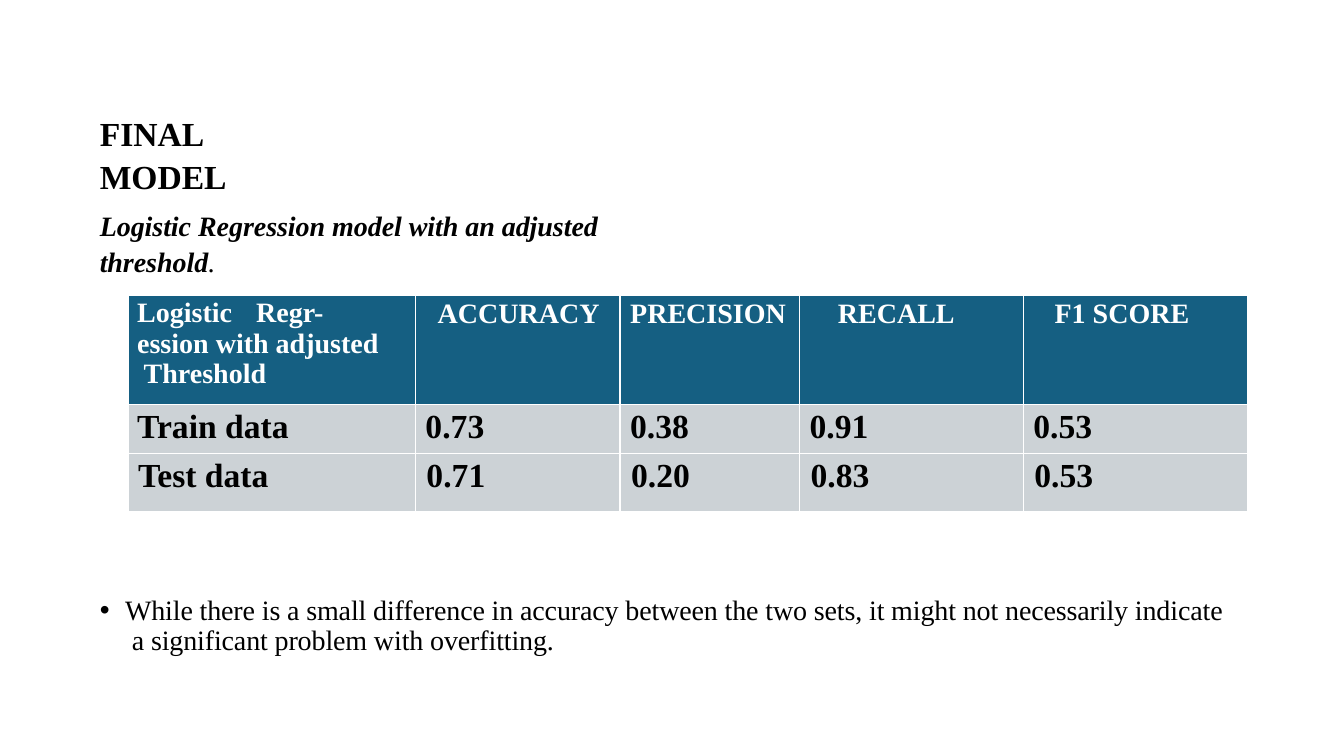
from dataclasses import dataclass

from lxml.etree import SubElement
from pptx import Presentation
from pptx.dml.color import RGBColor
from pptx.enum.text import MSO_ANCHOR
from pptx.oxml.ns import qn
from pptx.util import Inches, Pt


@dataclass(frozen=True)
class Theme:
    font: str = "Times New Roman"
    ink: str = "000000"
    paper: str = "FFFFFF"
    header_fill: str = "155F82"
    body_fill: str = "CCD2D6"
    large: int = 24
    normal: int = 20


THEME = Theme()

COLUMN_WIDTHS = [2.85, 2.03, 1.78, 2.22, 2.22]
ROW_HEIGHTS = [1.08, 0.49, 0.58]
HEADER_INDENTS = [0.09, 0.22, 0.1, 0.38, 0.31]
SCORES = [
    ["Logistic\tRegr-\vession with adjusted\v Threshold",
     "ACCURACY", "PRECISION", "RECALL", "F1 SCORE"],
    ["Train data", "0.73", "0.38", "0.91", "0.53"],
    ["Test data", "0.71", "0.20", "0.83", "0.53"],
]


def write_text(paragraph, text, size=THEME.normal, color=THEME.ink, bold=False,
               italic=False, tracking=0, before=0, spacing=None, indent=0):
    for index, line in enumerate(text.split("\v")):
        if index:
            paragraph.add_line_break()
        run = paragraph.add_run()
        run.text = line
        font = run.font
        font.name, font.size = THEME.font, Pt(size)
        font.bold, font.italic = bold, italic
        font.color.rgb = RGBColor.from_string(color)
        if tracking:
            run._r.get_or_add_rPr().set("spc", str(tracking))
    paragraph.space_before = Pt(before)
    if spacing:
        paragraph.line_spacing = spacing
    if indent:
        paragraph._p.get_or_add_pPr().set("marL", str(Inches(indent)))


def add_text_area(slide, left, top, width, height, inset=0.01):
    frame = slide.shapes.add_textbox(
        Inches(left), Inches(top), Inches(width), Inches(height)).text_frame
    frame.word_wrap = True
    frame.vertical_anchor = MSO_ANCHOR.TOP
    frame.margin_left = frame.margin_right = frame.margin_bottom = 0
    frame.margin_top = Inches(inset)
    return frame.paragraphs[0]


def add_bullet(paragraph, hanging):
    properties = paragraph._p.get_or_add_pPr()
    properties.set("indent", str(-Inches(hanging)))
    SubElement(properties, qn("a:buFont"), typeface="Arial")
    SubElement(properties, qn("a:buChar"), char="•")


def add_tab_stop(paragraph, position):
    tabs = SubElement(paragraph._p.get_or_add_pPr(), qn("a:tabLst"))
    SubElement(tabs, qn("a:tab"), pos=str(Inches(position)), algn="l")


def style_cell(cell, fill, inset):
    cell.margin_left = cell.margin_right = cell.margin_bottom = 0
    cell.margin_top = Inches(inset)
    cell.vertical_anchor = MSO_ANCHOR.TOP
    properties = cell._tc.get_or_add_tcPr()
    for side in ("lnL", "lnR", "lnT", "lnB"):
        line = SubElement(properties, qn(f"a:{side}"), w=str(Pt(1)))
        solid = SubElement(line, qn("a:solidFill"))
        SubElement(solid, qn("a:srgbClr"), val=THEME.paper)
    cell.fill.solid()
    cell.fill.fore_color.rgb = RGBColor.from_string(fill)


def add_score_table(slide, left, top):
    table = slide.shapes.add_table(
        len(SCORES), len(COLUMN_WIDTHS), Inches(left), Inches(top),
        Inches(sum(COLUMN_WIDTHS)), Inches(sum(ROW_HEIGHTS))).table
    table.first_row = table.horz_banding = False
    for column, width in zip(table.columns, COLUMN_WIDTHS):
        column.width = Inches(width)
    for row, height in zip(table.rows, ROW_HEIGHTS):
        row.height = Inches(height)
    for row_index, values in enumerate(SCORES):
        for column_index, value in enumerate(values):
            cell = table.cell(row_index, column_index)
            paragraph = cell.text_frame.paragraphs[0]
            if row_index == 0:
                style_cell(cell, THEME.header_fill, 0.03)
                write_text(paragraph, value, color=THEME.paper, bold=True,
                           before=2.2, spacing=0.98 if column_index == 0 else None,
                           indent=HEADER_INDENTS[column_index])
            else:
                style_cell(cell, THEME.body_fill, 0.04)
                write_text(paragraph, value, size=THEME.large, bold=True,
                           before=2.1 + 0.5 * row_index,
                           indent=0.08 + 0.01 * (row_index + (column_index > 0)))
    add_tab_stop(table.cell(0, 0).text_frame.paragraphs[0], 1.18)


def main():
    presentation = Presentation()
    presentation.slide_width = Inches(13.33)
    presentation.slide_height = Inches(7.5)
    slide = presentation.slides.add_slide(presentation.slide_layouts[6])

    title = add_text_area(slide, 0.98, 1.09, 2.3, 0.43)
    write_text(title, "FINAL MODEL", size=THEME.large, bold=True,
               before=1, spacing=1.06, indent=0.01)

    subtitle = add_text_area(slide, 0.98, 2.04, 6.1, 0.36)
    write_text(subtitle, "Logistic Regression model with an adjusted threshold",
               bold=True, italic=True, tracking=-5)
    write_text(subtitle, ".", italic=True, before=0.9, spacing=1.06, indent=0.01)

    add_score_table(slide, 1.27, 2.93)

    remark = add_text_area(slide, 0.98, 5.86, 11.25, 0.65, inset=0.06)
    write_text(remark, "While there is a small difference in accuracy between the "
               "two sets, it might not necessarily indicate\v a significant "
               "problem with overfitting.",
               tracking=-10, before=4, spacing=Pt(21.1), indent=0.26)
    add_bullet(remark, 0.25)

    presentation.save("out.pptx")


if __name__ == "__main__":
    main()
